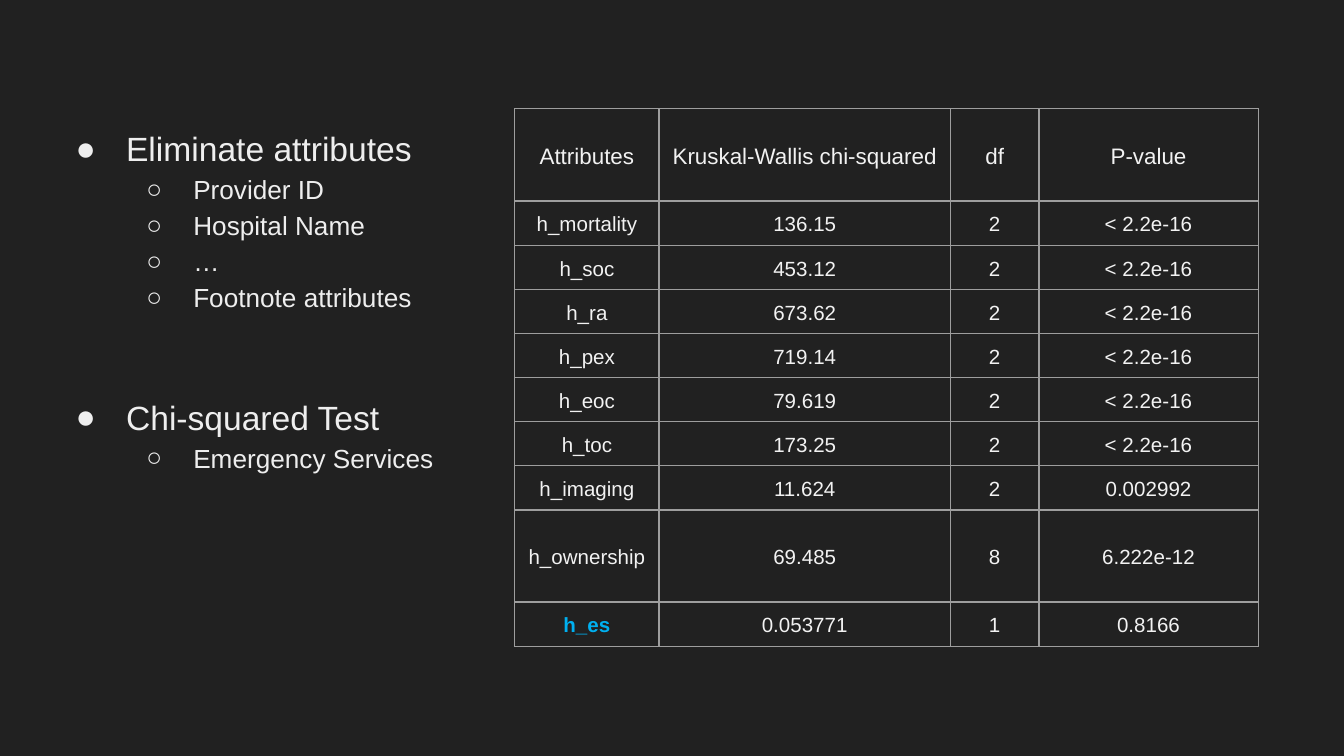
from dataclasses import dataclass

from lxml.etree import SubElement
from pptx import Presentation
from pptx.dml.color import RGBColor as Rgb
from pptx.enum.text import MSO_ANCHOR as Anchor, PP_ALIGN as Align
from pptx.oxml.ns import qn
from pptx.util import Pt


@dataclass(frozen=True)
class Theme:
    """Colours, font and type sizes of the slide."""
    background: str = "212121"
    outline: str = "EEEEEE"
    table_text: str = "F2F2F2"
    accent: str = "00B0F0"
    border: str = "9E9E9E"
    font: str = "Arial"
    topic_size: float = 18
    detail_size: float = 14
    header_size: float = 12
    cell_size: float = 11
    spacing: float = 1.15


THEME = Theme()
LEVELS = [("●", 36, -27, THEME.topic_size), ("○", 72, -25.2, THEME.detail_size)]
OUTLINES = [
    ((24.5, 58.3, 223.2, 157), "Eliminate attributes",
     ["Provider ID", "Hospital Name", "…", "Footnote attributes"]),
    ((24.5, 202.3, 223.2, 133.2), "Chi-squared Test", ["Emergency Services"]),
]
HEADER = ("Attributes", "Kruskal-Wallis chi-squared", "df", "P-value")
TESTS = [
    ("h_mortality", "136.15", "2", "< 2.2e-16"),
    ("h_soc", "453.12", "2", "< 2.2e-16"),
    ("h_ra", "673.62", "2", "< 2.2e-16"),
    ("h_pex", "719.14", "2", "< 2.2e-16"),
    ("h_eoc", "79.619", "2", "< 2.2e-16"),
    ("h_toc", "173.25", "2", "< 2.2e-16"),
    ("h_imaging", "11.624", "2", "0.002992"),
    ("h_ownership", "69.485", "8", "6.222e-12"),
    ("h_es", "0.053771", "1", "0.8166"),
]
HIGHLIGHT = "h_es"
TALL_ROWS = (HEADER[0], "h_ownership")
TALL, SHORT = 49.4, 23.65
COLUMN_SHARES = (0.194, 0.392, 0.119, 0.295)


def add_run(paragraph, text, size, color, bold=False):
    """Add one styled run and set the line spacing of its paragraph."""
    paragraph.line_spacing = THEME.spacing
    run = paragraph.add_run()
    run.text = text
    run.font.name = THEME.font
    run.font.size = Pt(size)
    run.font.bold = bold
    run.font.color.rgb = Rgb.from_string(color)


def add_bullet(paragraph, level):
    """Give a paragraph the indent and bullet of its outline level."""
    mark, margin, indent, _ = LEVELS[level]
    paragraph.level = level
    props = paragraph._p.get_or_add_pPr()
    props.set("marL", str(Pt(margin)))
    props.set("indent", str(Pt(indent)))
    color = SubElement(props, qn("a:buClr"))
    SubElement(color, qn("a:srgbClr"), val=THEME.outline)
    SubElement(props, qn("a:buFont"), typeface=THEME.font)
    SubElement(props, qn("a:buChar"), char=mark)


def add_outline(slide, box, topic, details):
    """Place a topic with its indented details in the box."""
    frame = slide.shapes.add_textbox(*map(Pt, box)).text_frame
    frame.word_wrap = True
    frame.margin_left = frame.margin_right = Pt(7.2)
    frame.margin_top = frame.margin_bottom = Pt(7.2)
    for index, text in enumerate([topic, *details]):
        paragraph = frame.add_paragraph() if index else frame.paragraphs[0]
        level = min(index, 1)
        add_run(paragraph, text, LEVELS[level][3], THEME.outline)
        add_bullet(paragraph, level)


def add_borders(cell):
    """Draw a thin line on all four sides of a cell."""
    props = cell._tc.get_or_add_tcPr()
    for position, side in enumerate(("lnL", "lnR", "lnT", "lnB")):
        line = SubElement(props, qn(f"a:{side}"), w=str(Pt(0.75)))
        fill = SubElement(line, qn("a:solidFill"))
        SubElement(fill, qn("a:srgbClr"), val=THEME.border)
        props.insert(position, line)


def fill_cell(cell, text, size):
    """Write centred text into a bordered, unfilled cell."""
    cell.fill.background()
    cell.vertical_anchor = Anchor.MIDDLE
    cell.margin_left = cell.margin_right = Pt(5)
    cell.margin_top = cell.margin_bottom = 0
    paragraph = cell.text_frame.paragraphs[0]
    paragraph.alignment = Align.CENTER
    marked = text == HIGHLIGHT
    add_run(paragraph, text, size, THEME.accent if marked else THEME.table_text, marked)
    add_borders(cell)


def add_test_table(slide, box):
    """Place the table of test results in the box."""
    records = [HEADER, *TESTS]
    table = slide.shapes.add_table(len(records), len(HEADER), *map(Pt, box)).table
    table.first_row = table.horz_banding = False
    for column, share in zip(table.columns, COLUMN_SHARES):
        column.width = Pt(round(box[2] * share, 1))
    for row, record in zip(table.rows, records):
        row.height = Pt(TALL if record[0] in TALL_ROWS else SHORT)
        size = THEME.header_size if record is HEADER else THEME.cell_size
        for cell, text in zip(row.cells, record):
            fill_cell(cell, text, size)


def main():
    """Build the slide and save it."""
    deck = Presentation()
    deck.slide_width, deck.slide_height = Pt(720), Pt(405)
    slide = deck.slides.add_slide(deck.slide_layouts[6])
    slide.background.fill.solid()
    slide.background.fill.fore_color.rgb = Rgb.from_string(THEME.background)
    for box, topic, details in OUTLINES:
        add_outline(slide, box, topic, details)
    add_test_table(slide, (275.8, 58.3, 398.2, 288.7))
    deck.save("out.pptx")


if __name__ == "__main__":
    main()
